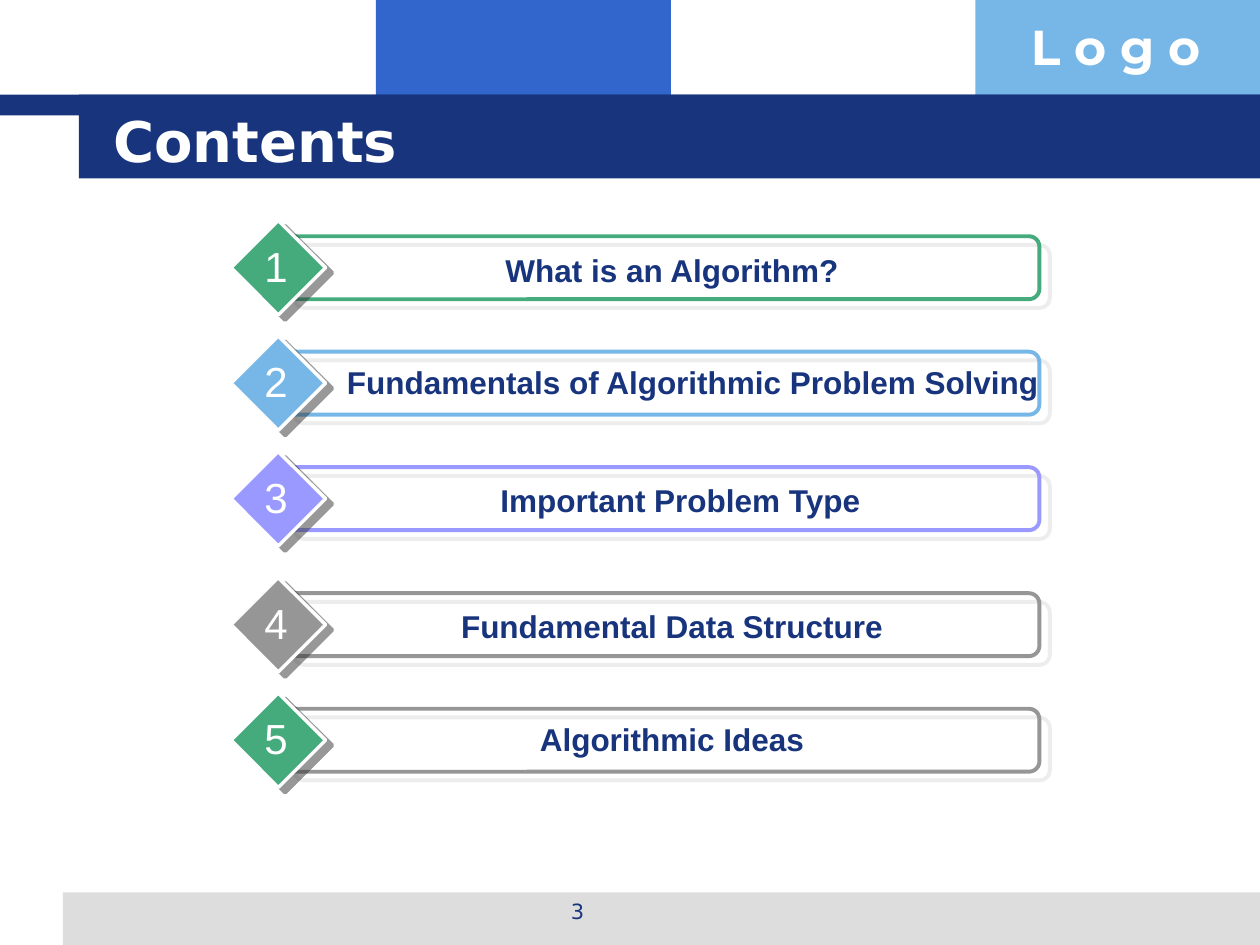
from lxml import etree
from pptx import Presentation
from pptx import util as u
from pptx.dml.color import RGBColor
from pptx.enum import shapes, text
from pptx.oxml.ns import qn

NAVY = RGBColor(0x17, 0x34, 0x7D)
BLUE = RGBColor(0x33, 0x66, 0xCC)
SKY = RGBColor(0x77, 0xB7, 0xE7)
GREEN = RGBColor(0x45, 0xAB, 0x7D)
VIOLET = RGBColor(0x99, 0x99, 0xFF)
GRAY = RGBColor(0x96, 0x96, 0x96)
PALE = RGBColor(0xDD, 0xDD, 0xDD)
DARK = RGBColor(0x33, 0x33, 0x33)
WHITE = RGBColor(0xFF, 0xFF, 0xFF)

COLS, ROWS = 120, 90  # grid of twelve cells to the inch
SHAPE = shapes.MSO_SHAPE


def format_text(tf, content, font="Arial", size=18, color=NAVY, bold=False,
                align=text.PP_ALIGN.CENTER, anchor=text.MSO_ANCHOR.TOP, wrap=True):
    tf.word_wrap = wrap
    tf.vertical_anchor = anchor
    p = tf.paragraphs[0]
    p.alignment = align
    r = p.add_run()
    r.text = content
    r.font.name, r.font.size, r.font.bold = font, u.Pt(size), bold
    r.font.color.rgb = color


class Deck:
    def __init__(self):
        self.prs = Presentation()
        self.prs.slide_width, self.prs.slide_height = u.Inches(10), u.Inches(7.5)
        self.s = self.prs.slides.add_slide(self.prs.slide_layouts[6])

    def place(self, col, row, cols, rows):
        dx, dy = self.prs.slide_width / COLS, self.prs.slide_height / ROWS
        return [round(v) for v in (col * dx, row * dy, cols * dx, rows * dy)]

    def shape(self, kind, cell, fill=None, line=None, width=1):
        sp = self.s.shapes.add_shape(kind, *self.place(*cell))
        sp.shadow.inherit = False
        if fill is None:
            sp.fill.background()
        else:
            sp.fill.solid()
            sp.fill.fore_color.rgb = fill
        if line is None:
            sp.line.fill.background()
        else:
            sp.line.color.rgb = line
            sp.line.width = u.Pt(width)
        return sp

    def shadow(self, sp, color, distance, angle):
        effects = sp._element.spPr.find(qn("a:effectLst"))
        outer = etree.SubElement(effects, qn("a:outerShdw"), blurRad="0",
                                 dist=str(u.Pt(distance)), dir=str(angle * 60000),
                                 algn="ctr", rotWithShape="0")
        clr = etree.SubElement(outer, qn("a:srgbClr"), val=str(color))
        etree.SubElement(clr, qn("a:alpha"), val="50000")

    def label(self, cell, content, **style):
        sp = self.s.shapes.add_textbox(*self.place(*cell))
        format_text(sp.text_frame, content, **style)

    def item(self, row, number, content, color, frame, label_at):
        bar = self.shape(SHAPE.ROUNDED_RECTANGLE, (27, row + 1.5, 72, 6),
                         line=frame, width=2.25)
        bar.adjustments[0] = 0.167
        self.shadow(bar, PALE, 7.8, 40)
        diamond = self.shape(SHAPE.DIAMOND, (22, row, 9, 9), color, WHITE, 2)
        self.shadow(diamond, DARK, 5, 37)
        col, offset, cols = label_at
        self.label((col, row + offset, cols, 4.8), content, bold=True)
        self.label((24, row + 1.3, 4.5, 6), str(number), size=24, color=WHITE, wrap=False)


def main():
    d = Deck()

    # Header and footer bands
    for cell, fill in [((35.8, 0, 28.1, 11), BLUE), ((92.9, 0, 27.1, 11), SKY),
                       ((6, 85, 114, 5), PALE),
                       ((0, 9, 120, 2), NAVY), ((7.5, 9, 112.5, 8), NAVY)]:
        d.shape(SHAPE.RECTANGLE, cell, fill)

    # Header text and page number
    left = text.PP_ALIGN.LEFT
    d.label((97, 1, 23, 6.8), "L o g o", font="Montserrat", size=28,
            color=WHITE, bold=True, align=left)
    d.label((41, 85, 28, 4.2), "3", font="DejaVu Sans", size=12)
    d.label((9.6, 9.6, 102.4, 7.4), "Contents", font="DejaVu Sans", size=32,
            color=WHITE, bold=True, align=left, anchor=text.MSO_ANCHOR.MIDDLE)

    # Contents: row, text, diamond, frame, label column / row offset / width
    items = [
        (21, "What is an Algorithm?", GREEN, GREEN, (30, 2.3, 68)),
        (32, "Fundamentals of Algorithmic Problem Solving", SKY, SKY, (27, 2, 78)),
        (43, "Important Problem Type", VIOLET, VIOLET, (30.8, 2.25, 68)),
        (55, "Fundamental Data Structure", GRAY, GRAY, (30, 2.25, 68)),
        (66, "Algorithmic Ideas", GREEN, GRAY, (30, 2, 68)),
    ]
    for number, (row, *rest) in enumerate(items, 1):
        d.item(row, number, *rest)

    d.prs.save("out.pptx")


if __name__ == "__main__":
    main()
